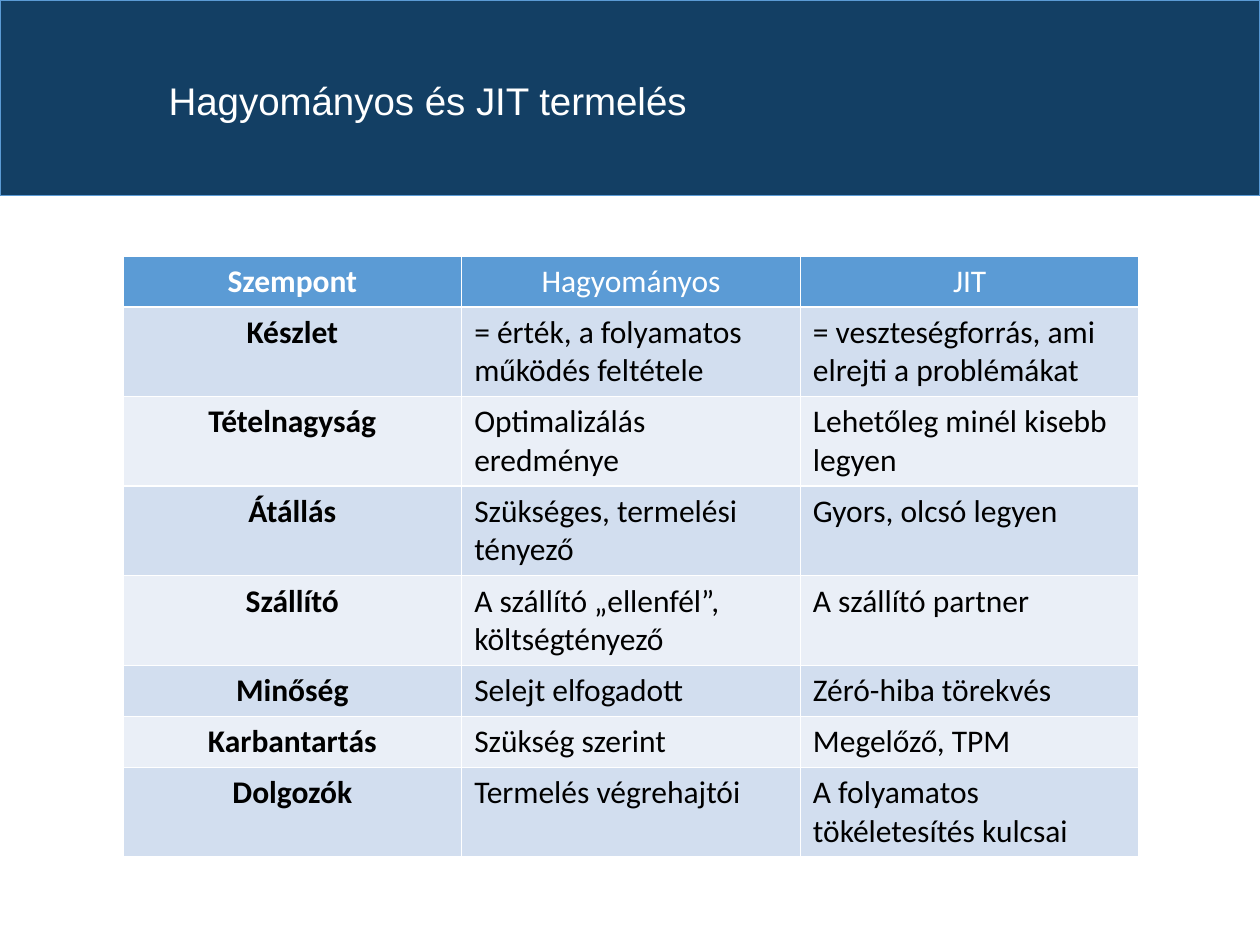
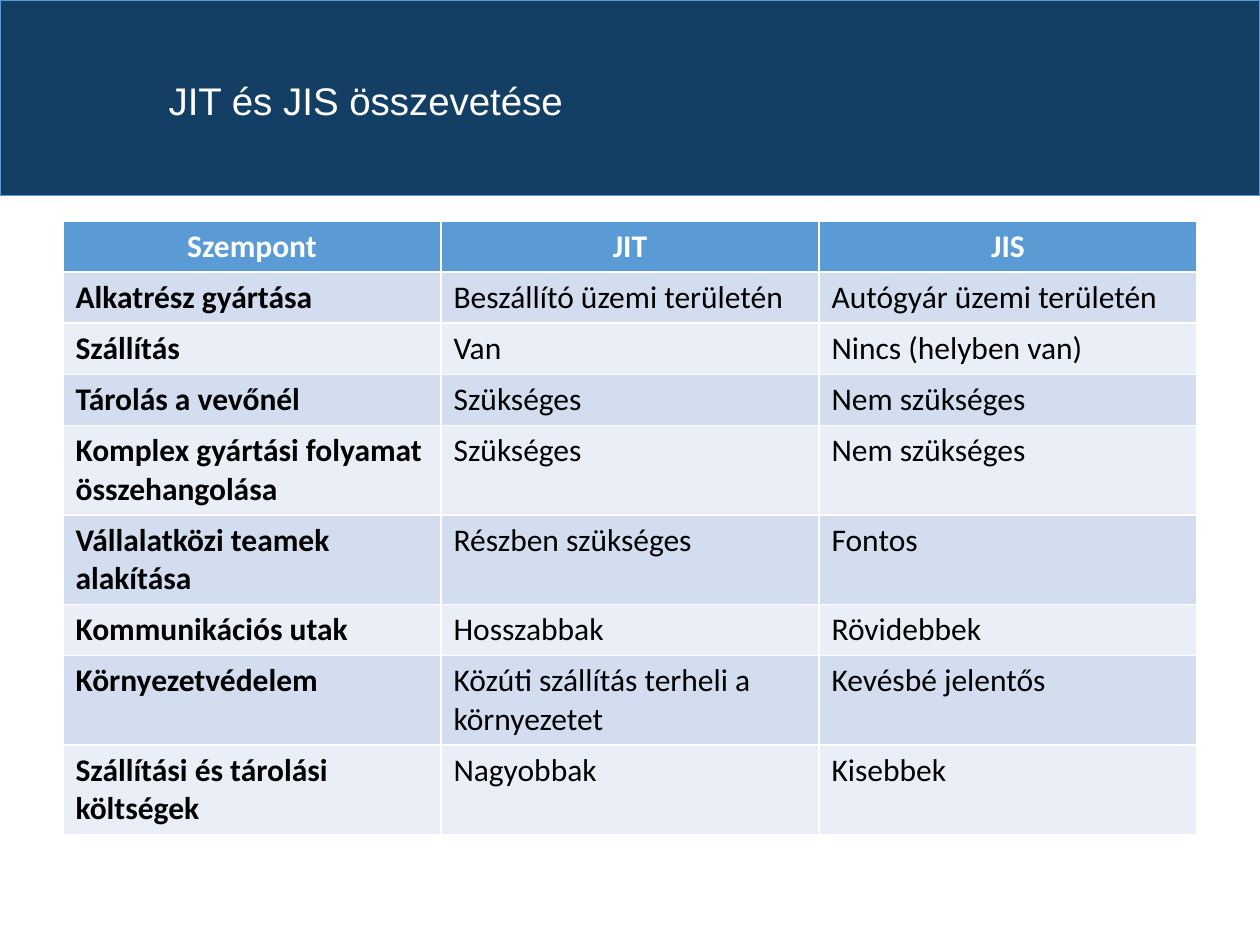
import collections

import pptx
import pptx.dml.color
import pptx.enum.text
import pptx.enum.shapes
import pptx.oxml
import pptx.oxml.ns
import pptx.util

RGBColor = pptx.dml.color.RGBColor
PP_ALIGN = pptx.enum.text.PP_ALIGN

EMU_PER_PX = 914400 / 126
PAGE_WIDTH, PAGE_HEIGHT = 1260, 945
ROW_HEIGHT = 51

NAVY = RGBColor(0x13, 0x3F, 0x64)
BLUE = RGBColor(0x5B, 0x9B, 0xD5)
DARK_STRIPE = RGBColor(0xD2, 0xDE, 0xEF)
LIGHT_STRIPE = RGBColor(0xEA, 0xEF, 0xF7)
WHITE = RGBColor(0xFF, 0xFF, 0xFF)
BLACK = RGBColor(0x00, 0x00, 0x00)

Box = collections.namedtuple("Box", "left top width height")
BAND_BOX = Box(0, 0, PAGE_WIDTH, 196)
TITLE_BOX = Box(156, 50, 1017, 106)

PRODUCTION_ROWS = [
    ("Szempont", "Hagyományos", "JIT"),
    ("Készlet", "= érték, a folyamatos működés feltétele",
     "= veszteségforrás, ami elrejti a problémákat"),
    ("Tételnagyság", "Optimalizálás eredménye", "Lehetőleg minél kisebb legyen"),
    ("Átállás", "Szükséges, termelési tényező", "Gyors, olcsó legyen"),
    ("Szállító", "A szállító „ellenfél”, költségtényező", "A szállító partner"),
    ("Minőség", "Selejt elfogadott", "Zéró-hiba törekvés"),
    ("Karbantartás", "Szükség szerint", "Megelőző, TPM"),
    ("Dolgozók", "Termelés végrehajtói", "A folyamatos tökéletesítés kulcsai"),
]
JIT_JIS_ROWS = [
    ("Szempont", "JIT", "JIS"),
    ("Alkatrész gyártása", "Beszállító üzemi területén", "Autógyár üzemi területén"),
    ("Szállítás", "Van", "Nincs (helyben van)"),
    ("Tárolás a vevőnél", "Szükséges", "Nem szükséges"),
    ("Komplex gyártási folyamat összehangolása", "Szükséges", "Nem szükséges"),
    ("Vállalatközi teamek alakítása", "Részben szükséges", "Fontos"),
    ("Kommunikációs utak", "Hosszabbak", "Rövidebbek"),
    ("Környezetvédelem", "Közúti szállítás terheli a környezetet", "Kevésbé jelentős"),
    ("Szállítási és tárolási költségek", "Nagyobbak", "Kisebbek"),
]


def px(length):
    return pptx.util.Emu(round(length * EMU_PER_PX))


def place(box):
    return [px(length) for length in box]


def style_text(para, font_name, size, color, bold=False):
    for span in para.runs:
        span.font.name = font_name
        span.font.size = pptx.util.Pt(size)
        span.font.bold = bold
        span.font.color.rgb = color


def add_band(page, box):
    """Draw the title band and hand it to the layout, behind every title."""
    band = page.shapes.add_shape(pptx.enum.shapes.MSO_SHAPE.RECTANGLE, *place(box))
    band.shadow.inherit = False
    band.fill.solid()
    band.fill.fore_color.rgb = NAVY
    band.line.color.rgb = BLUE
    band.line.width = pptx.util.Pt(0.5)
    page.slide_layout.shapes._spTree.insert(2, band._element)


def set_title(page, box, text):
    title = page.shapes.title
    title.left, title.top, title.width, title.height = place(box)
    frame = title.text_frame
    frame.text = text
    frame.word_wrap = True
    frame.auto_size = pptx.enum.text.MSO_AUTO_SIZE.NONE
    frame.vertical_anchor = pptx.enum.text.MSO_ANCHOR.MIDDLE
    para = frame.paragraphs[0]
    para.alignment = PP_ALIGN.LEFT
    para.line_spacing = 0.9
    style_text(para, "Arial", 22, WHITE)


def set_borders(cell, color, points):
    properties = cell._tc.get_or_add_tcPr()
    for index, side in enumerate("LRTB"):
        properties.insert(index, pptx.oxml.parse_xml(
            f'<a:ln{side} {pptx.oxml.ns.nsdecls("a")} w="{pptx.util.Pt(points)}">'
            f'<a:solidFill><a:srgbClr val="{color}"/></a:solidFill></a:ln{side}>'))


def add_comparison(page, box, rows, centred_labels, bold_header):
    """Add a striped table whose first row is the header and first column the labels."""
    frame = page.shapes.add_table(len(rows), len(rows[0]), *place(box))
    table = frame.table
    for column in table.columns:
        column.width = px(box.width / len(rows[0]))
    for row_index, texts in enumerate(rows):
        table.rows[row_index].height = px(ROW_HEIGHT)
        is_header = row_index == 0
        stripe = DARK_STRIPE if row_index % 2 else LIGHT_STRIPE
        for column_index, text in enumerate(texts):
            is_label = column_index == 0
            cell = table.cell(row_index, column_index)
            cell.text_frame.text = text
            cell.fill.solid()
            cell.fill.fore_color.rgb = BLUE if is_header else stripe
            set_borders(cell, WHITE, 1)
            para = cell.text_frame.paragraphs[0]
            centred = is_header or (is_label and centred_labels)
            para.alignment = PP_ALIGN.CENTER if centred else PP_ALIGN.LEFT
            style_text(para, "Calibri", 18, WHITE if is_header else BLACK,
                       is_label or (is_header and bold_header))
    frame.height = px(box.height)


def add_page(deck, title):
    page = deck.slides.add_slide(deck.slide_layouts[5])
    set_title(page, TITLE_BOX, title)
    return page


def main():
    deck = pptx.Presentation()
    deck.slide_width, deck.slide_height = px(PAGE_WIDTH), px(PAGE_HEIGHT)

    production = add_page(deck, "Hagyományos és JIT termelés")
    add_band(production, BAND_BOX)
    add_comparison(production, Box(123, 256, 1016, 595), PRODUCTION_ROWS,
                   centred_labels=True, bold_header=False)

    jit_jis = add_page(deck, "JIT és JIS összevetése")
    add_comparison(jit_jis, Box(63, 221, 1134, 609), JIT_JIS_ROWS,
                   centred_labels=False, bold_header=True)

    deck.save("out.pptx")


if __name__ == "__main__":
    main()
